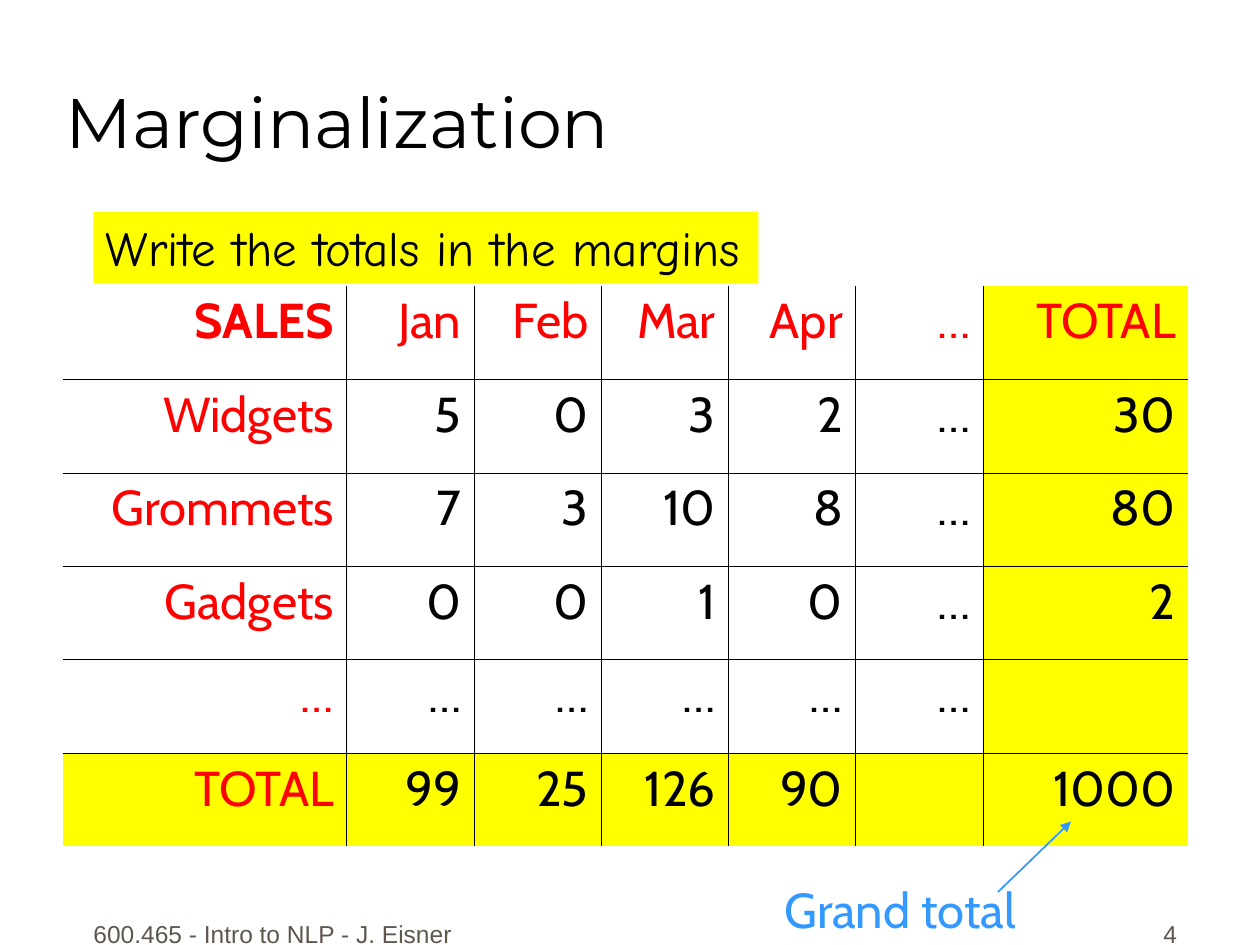
from lxml import etree
from pptx import Presentation
from pptx.dml import color
from pptx.enum import shapes, text
from pptx.oxml import ns
from pptx import util as u

BLACK, RED, YELLOW, BLUE, GREY = "000000", "FF0000", "FFFF00", "3399FF", "5E574E"
LEFT, CENTER, RIGHT = text.PP_ALIGN.LEFT, text.PP_ALIGN.CENTER, text.PP_ALIGN.RIGHT
COLUMN_WIDTHS = [2.25] + [1.01] * 5 + [1.63]
TABLE_HEIGHT = 4.45
SALES = [
    ["SALES", "Jan", "Feb", "Mar", "Apr", "…", "TOTAL"],
    ["Widgets", "5", "0", "3", "2", "…", "30"],
    ["Grommets", "7", "3", "10", "8", "…", "80"],
    ["Gadgets", "0", "0", "1", "0", "…", "2"],
    ["…", "…", "…", "…", "…", "…", ""],
    ["TOTAL", "99", "25", "126", "90", "", "1000"],
]


def rgb(value):
    """Turn a hex string into a colour."""
    return color.RGBColor.from_string(value)


def inches(*lengths):
    """Convert several lengths to inches."""
    return [u.Inches(length) for length in lengths]


def write(frame, words, font="Cabin", size=28, ink=BLACK, bold=False, align=LEFT,
          before=0, spacing=1.0):
    """Write one formatted paragraph into a text frame."""
    para = frame.paragraphs[0]
    para.alignment, para.line_spacing = align, spacing
    para.space_before = u.Pt(before)
    span = para.add_run()
    span.text = words
    span.font.name, span.font.size, span.font.bold = font, u.Pt(size), bold
    span.font.color.rgb = rgb(ink)


def add_title(page, words):
    """Place and fill the title placeholder."""
    title = page.shapes.title
    title.left, title.top, title.width, title.height = inches(0.44, 0.06, 8.5, 1.25)
    frame = title.text_frame
    frame.auto_size = text.MSO_AUTO_SIZE.NONE
    frame.vertical_anchor = text.MSO_ANCHOR.BOTTOM
    frame.margin_left, frame.margin_bottom = inches(0.08, 0.02)
    write(frame, words, font="Montserrat", size=40)


def add_text(parent, area, words, wrap=False, fill=None, anchor=text.MSO_ANCHOR.TOP,
             **style):
    """Add a text box, filled if a colour is given."""
    box = parent.shapes.add_textbox(*inches(*area))
    if fill:
        box.fill.solid()
        box.fill.fore_color.rgb = rgb(fill)
    frame = box.text_frame
    frame.word_wrap, frame.vertical_anchor = wrap, anchor
    if not wrap:
        frame.auto_size = text.MSO_AUTO_SIZE.SHAPE_TO_FIT_TEXT
    write(frame, words, **style)


def add_border(cell, side, visible):
    """Draw or hide the border on one side of a cell."""
    properties = cell._tc.get_or_add_tcPr()
    border = etree.SubElement(properties, ns.qn(f"a:ln{side}"), w=str(u.Pt(0.23)))
    if visible:
        fill = etree.SubElement(border, ns.qn("a:solidFill"))
        etree.SubElement(fill, ns.qn("a:srgbClr"), val=BLACK)
    else:
        etree.SubElement(border, ns.qn("a:noFill"))


def format_cell(cell, words, row, column):
    """Fill a cell according to its place in the sales grid."""
    last_row, last_column = len(SALES) - 1, len(COLUMN_WIDTHS) - 1
    inner = {"L": column > 0, "R": column < last_column,
             "T": row > 0, "B": row < last_row}
    for side, visible in inner.items():
        add_border(cell, side, visible)
    if row == last_row or column == last_column:
        cell.fill.solid()
        cell.fill.fore_color.rgb = rgb(YELLOW)
    else:
        cell.fill.background()
    if words:
        write(cell.text_frame, words, ink=RED if row == 0 or column == 0 else BLACK,
              bold=row == column == 0, align=RIGHT, before=7, spacing=0.98)


def add_sales_table(page):
    """Add the sales table with its totals in the margins."""
    area = inches(0.5, 2.27, sum(COLUMN_WIDTHS), TABLE_HEIGHT)
    table = page.shapes.add_table(len(SALES), len(COLUMN_WIDTHS), *area).table
    table.first_row = table.horz_banding = False
    for column, width in zip(table.columns, COLUMN_WIDTHS):
        column.width = u.Inches(width)
    for row, entries in enumerate(SALES):
        table.rows[row].height = u.Inches(TABLE_HEIGHT / len(SALES))
        for column, words in enumerate(entries):
            format_cell(table.cell(row, column), words, row, column)


def add_arrow(parent, start, end, ink):
    """Add a straight arrow with a triangular head at its end."""
    arrow = parent.shapes.add_connector(shapes.MSO_CONNECTOR.STRAIGHT,
                                        *inches(*start, *end))
    arrow.line.color.rgb, arrow.line.width = rgb(ink), u.Pt(1)
    etree.SubElement(arrow.line._get_or_add_ln(), ns.qn("a:tailEnd"),
                     type="triangle", w="med", len="med")
    etree.SubElement(arrow._element.spPr, ns.qn("a:effectLst"))


def main():
    """Build and save the slide."""
    deck = Presentation()
    deck.slide_width, deck.slide_height = inches(10, 7.5)
    page = deck.slides.add_slide(deck.slide_layouts[5])
    footer = dict(wrap=True, anchor=text.MSO_ANCHOR.BOTTOM, font="Arial", size=14,
                  ink=GREY, before=8.8)
    add_text(page, (0.58, 7.08, 3.17, 0.5), "600.465 - Intro to NLP - J. Eisner",
             align=CENTER, **footer)
    add_text(page, (7.36, 7.08, 2.08, 0.5), "4", align=RIGHT, **footer)
    add_title(page, "Marginalization")
    add_sales_table(page)
    add_text(page, (0.74, 1.68, 5.28, 0.57), "Write the totals in the margins",
             fill=YELLOW, font="Comic Neue")
    callout = page.shapes.add_group_shape()
    add_arrow(callout, (7.92, 7.08), (8.5, 6.52), BLUE)
    add_text(callout, (6.01, 6.93, 2.27, 0.57), "Grand total", ink=BLUE, align=CENTER)
    deck.save("out.pptx")


if __name__ == "__main__":
    main()
